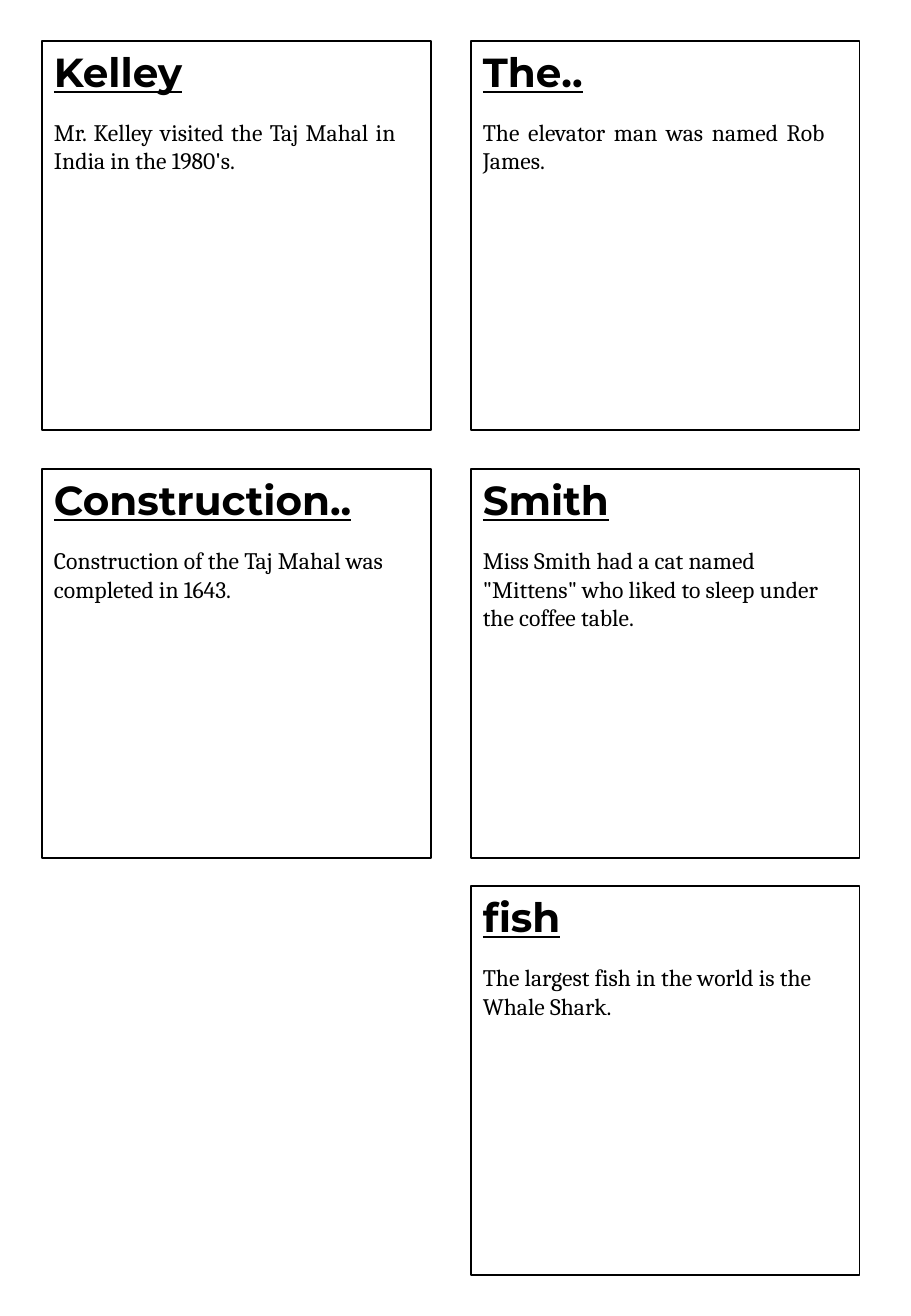
"""Build a one-page sheet of bordered fact cards, each with a heading and a sentence."""
from pptx import Presentation
from pptx.dml.color import RGBColor
from pptx.enum.shapes import MSO_SHAPE as SHAPE
from pptx.enum.text import MSO_AUTO_SIZE as FIT, PP_ALIGN as ALIGN
from pptx.util import Inches, Pt

CARDS = [
    (0, 0, "Kelley", "Mr. Kelley visited the Taj Mahal in India in the 1980's.", ALIGN.JUSTIFY),
    (1, 0, "The..", "The elevator man was named Rob James.", ALIGN.JUSTIFY),
    (0, 1, "Construction..", "Construction of the Taj Mahal was completed in 1643.", ALIGN.LEFT),
    (1, 1, "Smith", 'Miss Smith had a cat named "Mittens" who liked to sleep '
                    "under the coffee table.", ALIGN.LEFT),
    (1, 2, "fish", "The largest fish in the world is the Whale Shark.", ALIGN.LEFT),
]
COLORS = {"ink": "000000"}
HEADING = {"name": "Montserrat", "size": Pt(24), "bold": True, "underline": True}
FACT = {"name": "Cambria", "size": Pt(14)}
COLUMNS = (42, 471)
ROWS = (41, 469, 886)
CARD_SIDE = 389
HEADING_H = 61
FACT_DROP, FACT_W, FACT_H = 71, 366, 69


def px(n):
    return round(n * Inches(1) / 121.5)


def ink():
    return RGBColor.from_string(COLORS["ink"])


def add_border(slide, x, y):
    sp = slide.shapes.add_shape(SHAPE.RECTANGLE, px(x), px(y), px(CARD_SIDE), px(CARD_SIDE))
    sp.shadow.inherit = False
    sp.fill.background()
    sp.line.color.rgb = ink()
    sp.line.width = Pt(1)


def add_text(slide, box, text, font, align=ALIGN.LEFT):
    tf = slide.shapes.add_textbox(*map(px, box)).text_frame
    tf.word_wrap = True
    tf.auto_size = FIT.SHAPE_TO_FIT_TEXT
    p = tf.paragraphs[0]
    p.alignment = align
    r = p.add_run()
    r.text = text
    for key, value in font.items():
        setattr(r.font, key, value)
    r.font.color.rgb = ink()


prs = Presentation()
prs.slide_width, prs.slide_height = Inches(7.5), Inches(10.83)
slide = prs.slides.add_slide(prs.slide_layouts.get_by_name("Blank"))

for col, row, heading, fact, align in CARDS:
    x, y = COLUMNS[col], ROWS[row]
    add_border(slide, x, y)
    add_text(slide, (x, y, CARD_SIDE, HEADING_H), heading, HEADING)
    add_text(slide, (x, y + FACT_DROP, FACT_W, FACT_H), fact, FACT, align)

prs.save("out.pptx")
